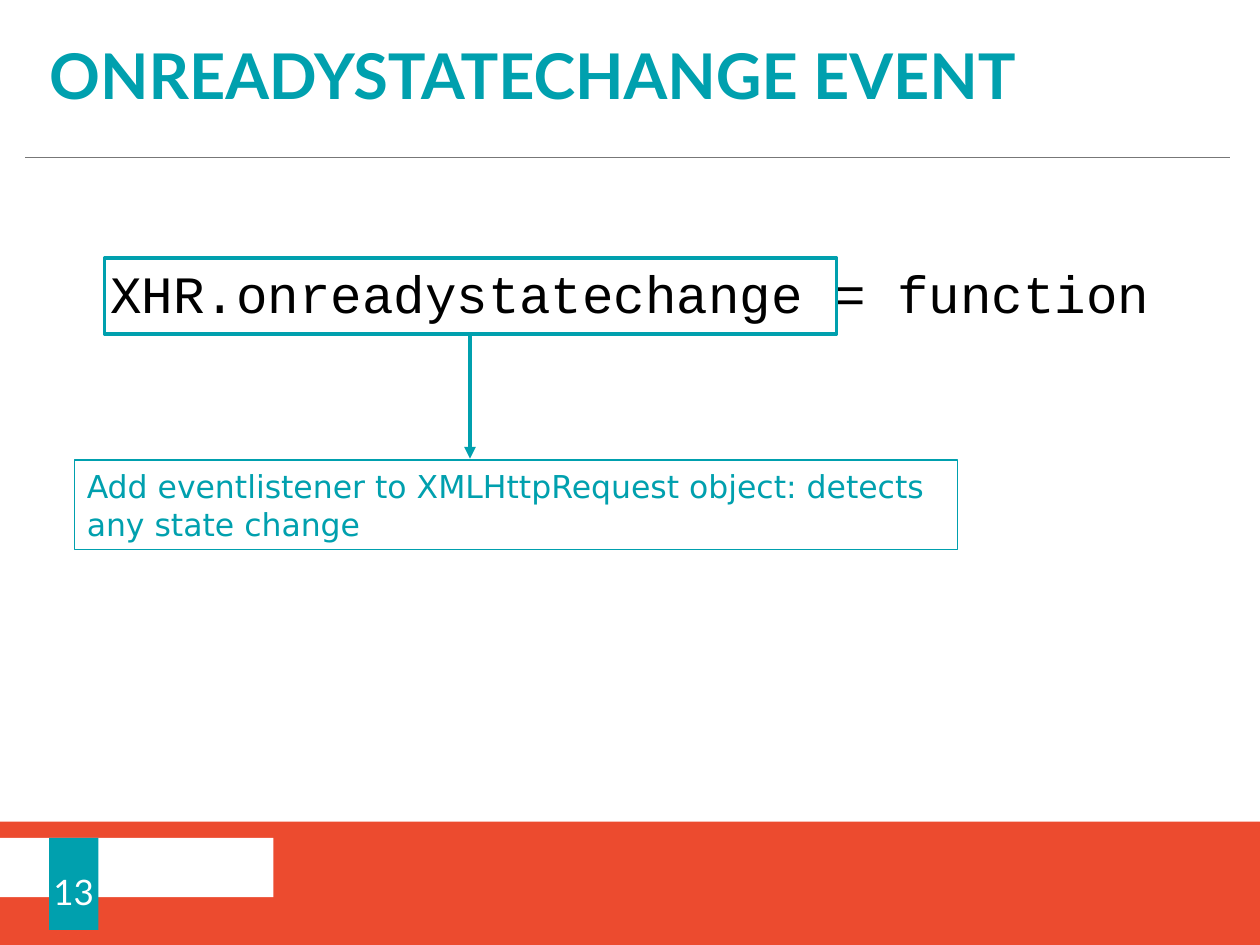
import pptx
import pptx.util
import pptx.dml.color
import pptx.enum.shapes
import pptx.enum.text
import pptx.oxml.ns
from lxml import etree
from pptx.util import Inches

COLORS = {"teal": "00A0AE", "red": "EC4B2F", "white": "FFFFFF", "black": "000000", "gray": "777777"}
ALIGN = pptx.enum.text.PP_ALIGN
ANCHOR = pptx.enum.text.MSO_ANCHOR


def add_box(bounds, fill=None, line_width=None):
    shape = slide.shapes.add_shape(pptx.enum.shapes.MSO_SHAPE.RECTANGLE, *map(Inches, bounds))
    shape.shadow.inherit = False
    if fill:
        shape.fill.solid()
        shape.fill.fore_color.rgb = pptx.dml.color.RGBColor.from_string(COLORS[fill])
    else:
        shape.fill.background()
    if line_width:
        shape.line.width = pptx.util.Pt(line_width)
        shape.line.color.rgb = pptx.dml.color.RGBColor.from_string(COLORS["teal"])
    else:
        shape.line.fill.background()
    return shape


def write(shape, text, font, size, color, insets, align=ALIGN.LEFT, wrap=True):
    frame = shape.text_frame
    frame.word_wrap = wrap
    frame.vertical_anchor = ANCHOR.MIDDLE
    frame.margin_left, frame.margin_top, frame.margin_right, frame.margin_bottom = map(Inches, insets)
    paragraph = frame.paragraphs[0]
    paragraph.text = text
    paragraph.alignment = align
    paragraph.font.name = font
    paragraph.font.size = pptx.util.Pt(size)
    paragraph.font.color.rgb = pptx.dml.color.RGBColor.from_string(COLORS[color])
    return paragraph


presentation = pptx.Presentation()
presentation.slide_width = Inches(10)
presentation.slide_height = Inches(7.5)
slide = presentation.slides.add_slide(presentation.slide_layouts[6])

add_box((0, 6.52, 10, 0.98), "red")
add_box((0, 6.65, 2.17, 0.47), "white")

title = slide.shapes.add_textbox(0, 0, Inches(10), Inches(1.25))
paragraph = write(title, "ONREADYSTATECHANGE EVENT", "Lato", 36, "teal", (0.39, 0.2, 0.39, 0.16))
paragraph.font.bold = True
paragraph.line_spacing = 0.8

code = slide.shapes.add_textbox(0, Inches(2.05), Inches(10), Inches(0.6))
paragraph = write(code, "XHR.onreadystatechange = function", "Courier New", 30, "black",
                  (0.47, 0, 0.47, 0), ALIGN.CENTER)
paragraph.line_spacing = 0.9

page_number = add_box((0.39, 6.65, 0.39, 0.73), "teal")
write(page_number, "13", "Lato", 20, "white", (0, 0.12, 0, 0), ALIGN.CENTER, False)

add_box((0.83, 2.05, 5.81, 0.6), line_width=2)
explanation = add_box((0.59, 3.65, 7.01, 0.71), line_width=0.75)
write(explanation, "Add eventlistener to XMLHttpRequest object: detects any state change",
      "DejaVu Sans", 18, "teal", (0.1, 0.05, 0.1, 0.05))

for start_x, start_y, end_x, end_y, color, width, arrow in (
    (0.2, 1.25, 9.76, 1.25, "gray", 0.5, False),
    (3.73, 2.65, 3.73, 3.64, "teal", 2.25, True),
):
    connector = slide.shapes.add_connector(
        pptx.enum.shapes.MSO_CONNECTOR.STRAIGHT, *map(Inches, (start_x, start_y, end_x, end_y)))
    connector.line.width = pptx.util.Pt(width)
    connector.line.color.rgb = pptx.dml.color.RGBColor.from_string(COLORS[color])
    if arrow:
        etree.SubElement(connector.line._get_or_add_ln(), pptx.oxml.ns.qn("a:tailEnd"), type="triangle")
    etree.SubElement(connector._element.spPr, pptx.oxml.ns.qn("a:effectLst"))

presentation.save("out.pptx")
